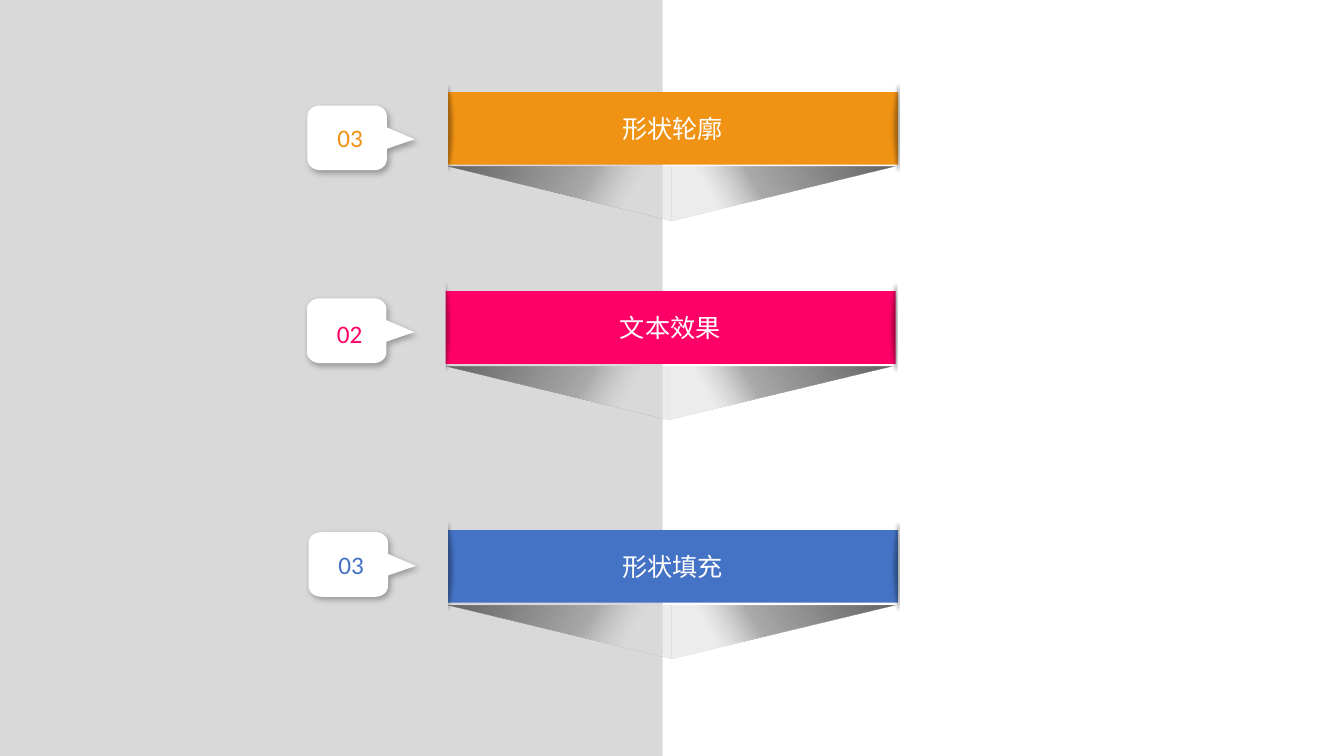
import math

import pptx
import pptx.dml.color
import pptx.enum.shapes
import pptx.enum.text
import pptx.oxml
import pptx.oxml.ns
import pptx.util

Cm = pptx.util.Cm
Pt = pptx.util.Pt
qn = pptx.oxml.ns.qn
SHAPE = pptx.enum.shapes.MSO_SHAPE
NAMESPACE = pptx.oxml.ns.nsdecls("a")

FOLD_GRADIENT = f"""<a:gradFill {NAMESPACE} rotWithShape="1"><a:gsLst>
<a:gs pos="21000"><a:srgbClr val="DBDBDB"><a:alpha val="49000"/></a:srgbClr></a:gs>
<a:gs pos="41000"><a:srgbClr val="AAAAAA"/></a:gs>
<a:gs pos="100000"><a:srgbClr val="636363"/></a:gs>
</a:gsLst><a:lin ang="1800000" scaled="0"/></a:gradFill>"""
SOFT_EDGE = f'<a:softEdge {NAMESPACE} rad="31750"/>'
TAG_SHADOW = f"""<a:outerShdw {NAMESPACE} blurRad="57150" dist="33020" dir="3180000"
algn="tl" rotWithShape="0"><a:srgbClr val="000000"><a:alpha val="30000"/></a:srgbClr></a:outerShdw>"""


def paint(fill, color, alpha=100):
    """Make a fill solid, with alpha as percent opacity."""
    fill.solid()
    fill.fore_color.rgb = pptx.dml.color.RGBColor.from_string(color)
    if alpha < 100:
        color_element = fill._xPr.find(qn("a:solidFill"))[0]
        color_element.append(pptx.oxml.parse_xml(f'<a:alpha {NAMESPACE} val="{alpha * 1000}"/>'))


def add_plain_shape(kind, left, top, width, height, color=None):
    """Add a shape in centimetres without line or shadow."""
    shape = slide.shapes.add_shape(kind, Cm(left), Cm(top), Cm(width), Cm(height))
    shape.shadow.inherit = False
    shape.line.fill.background()
    if color:
        paint(shape.fill, color)
    return shape


presentation = pptx.Presentation()
presentation.slide_width = Cm(33.87)
presentation.slide_height = Cm(19.05)
slide = presentation.slides.add_slide(presentation.slide_layouts[6])

# Two-tone background
GREY, WHITE = "D9D9D9", "FFFFFF"
add_plain_shape(SHAPE.RECTANGLE, -0.23, 0, 16.93, 19.05, GREY)
right_panel = add_plain_shape(SHAPE.RECTANGLE, 16.93, 0, 16.93, 19.05, WHITE)
right_panel.line.width = Pt(1)
paint(right_panel.line.fill, WHITE, 51)

# Label, colour, banner left and top, number, tag left and top, number offset
BANNERS = [
    ("形状轮廓", "F09214", 11.28, 2.32, "03", 7.75, 2.66, 0.31),
    ("文本效果", "FF0066", 11.22, 7.34, "02", 7.74, 7.52, 0.38),
    ("形状填充", "4472C4", 11.28, 13.36, "03", 7.78, 13.41, 0.31),
]
FOLD_WIDTH = 5.64
TAG_WIDTH, TAG_HEIGHT, TIP_X = 2.0, 1.63, 2.7
RADIUS_X, RADIUS_Y = 0.32, 0.27
TIP = [(TAG_WIDTH, 0.55), (TIP_X, 0.85), (TAG_WIDTH, 1.09)]
# Corner centres and start angles, clockwise from the top right
CORNERS = [
    (TAG_WIDTH - RADIUS_X, RADIUS_Y, -90),
    (TAG_WIDTH - RADIUS_X, TAG_HEIGHT - RADIUS_Y, 0),
    (RADIUS_X, TAG_HEIGHT - RADIUS_Y, 90),
    (RADIUS_X, RADIUS_Y, 180),
]

for label, color, left, top, number, tag_left, tag_top, number_offset in BANNERS:
    banner = add_plain_shape(SHAPE.RECTANGLE, left, top, 11.35, 1.83, color)

    for side in (0, 1):
        fold = add_plain_shape(SHAPE.RIGHT_TRIANGLE, left + side * FOLD_WIDTH, top + 1.89,
                               FOLD_WIDTH, 1.35)
        properties = fold._element.spPr
        properties.find(qn("a:prstGeom")).addnext(pptx.oxml.parse_xml(FOLD_GRADIENT))
        properties.xfrm.set("flipV", "1")
        if side == 0:
            properties.xfrm.set("flipH", "1")

    # Soft shade at each end, half hidden by a background-coloured mask
    for shade_offset, mask_offset, mask_color in ((-0.18, -0.73, GREY), (11.18, 11.4, WHITE)):
        shade = add_plain_shape(SHAPE.OVAL, left + shade_offset, top - 0.37, 0.36, 2.57)
        paint(shade.fill, "000000", 32)
        shade.line.width = Pt(1)
        paint(shade.line.fill, "000000", 38)
        shade._element.spPr.find(qn("a:effectLst")).append(pptx.oxml.parse_xml(SOFT_EDGE))
        add_plain_shape(SHAPE.RECTANGLE, left + mask_offset, top - 0.51, 0.74, 2.95, mask_color)

    outline = []
    for index, (center_x, center_y, start) in enumerate(CORNERS):
        for step in range(0, 91, 10):
            angle = math.radians(start + step)
            outline.append((center_x + RADIUS_X * math.cos(angle),
                            center_y + RADIUS_Y * math.sin(angle)))
        if index == 0:
            outline += TIP
    points = [(Cm(tag_left + x), Cm(tag_top + y)) for x, y in outline]
    builder = slide.shapes.build_freeform(*points[0])
    builder.add_line_segments(points[1:], close=True)
    tag = builder.convert_to_shape()
    paint(tag.fill, WHITE)
    tag.line.fill.background()
    tag.shadow.inherit = False
    tag._element.spPr.find(qn("a:effectLst")).append(pptx.oxml.parse_xml(TAG_SHADOW))

    number_box = slide.shapes.add_textbox(Cm(tag_left + 0.5), Cm(tag_top + number_offset),
                                          Cm(1.22), Cm(1.02))
    number_box.text_frame.word_wrap = False
    number_box.text_frame.auto_size = pptx.enum.text.MSO_AUTO_SIZE.SHAPE_TO_FIT_TEXT
    banner.text_frame.vertical_anchor = pptx.enum.text.MSO_ANCHOR.MIDDLE
    banner.text_frame.paragraphs[0].alignment = pptx.enum.text.PP_ALIGN.CENTER

    for shape, text, text_color in ((banner, label, WHITE), (number_box, number, color)):
        run = shape.text_frame.paragraphs[0].add_run()
        run.text = text
        run.font.name = "Calibri"
        run.font.size = Pt(18)
        paint(run.font.fill, text_color)

presentation.save("out.pptx")
